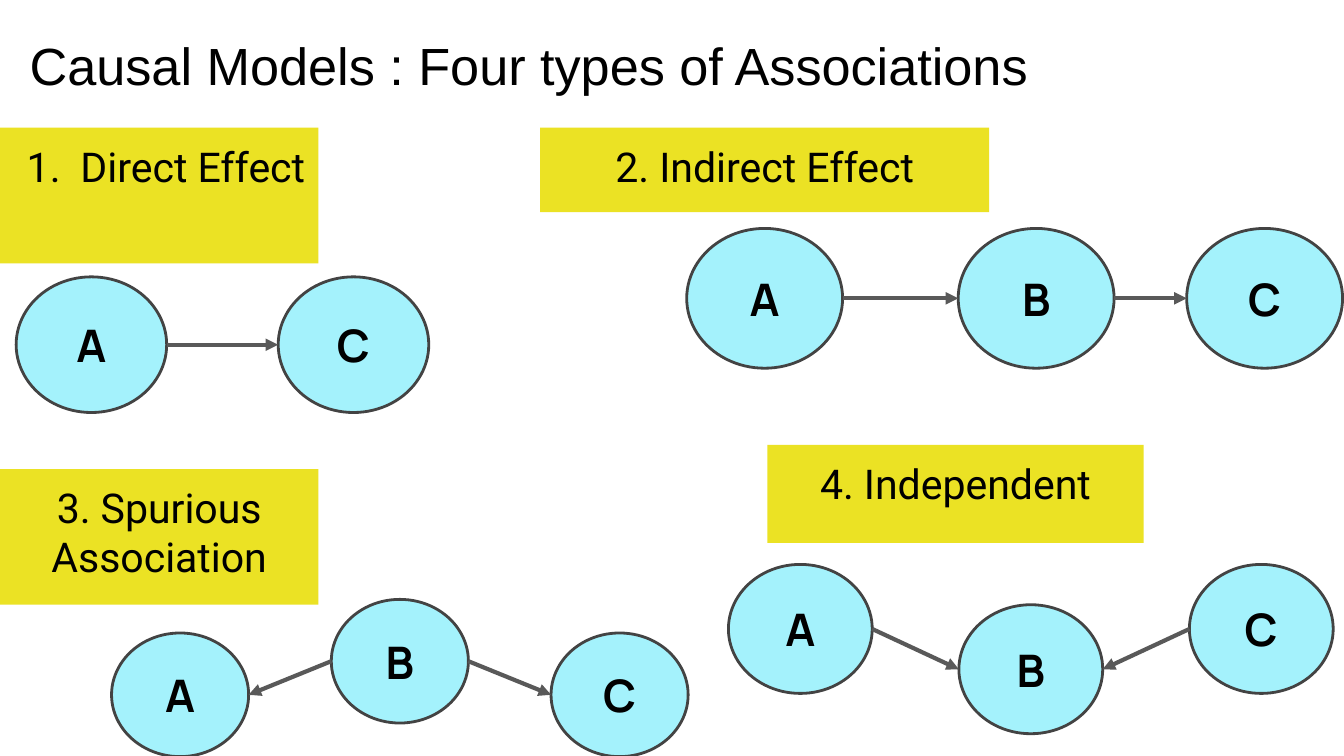
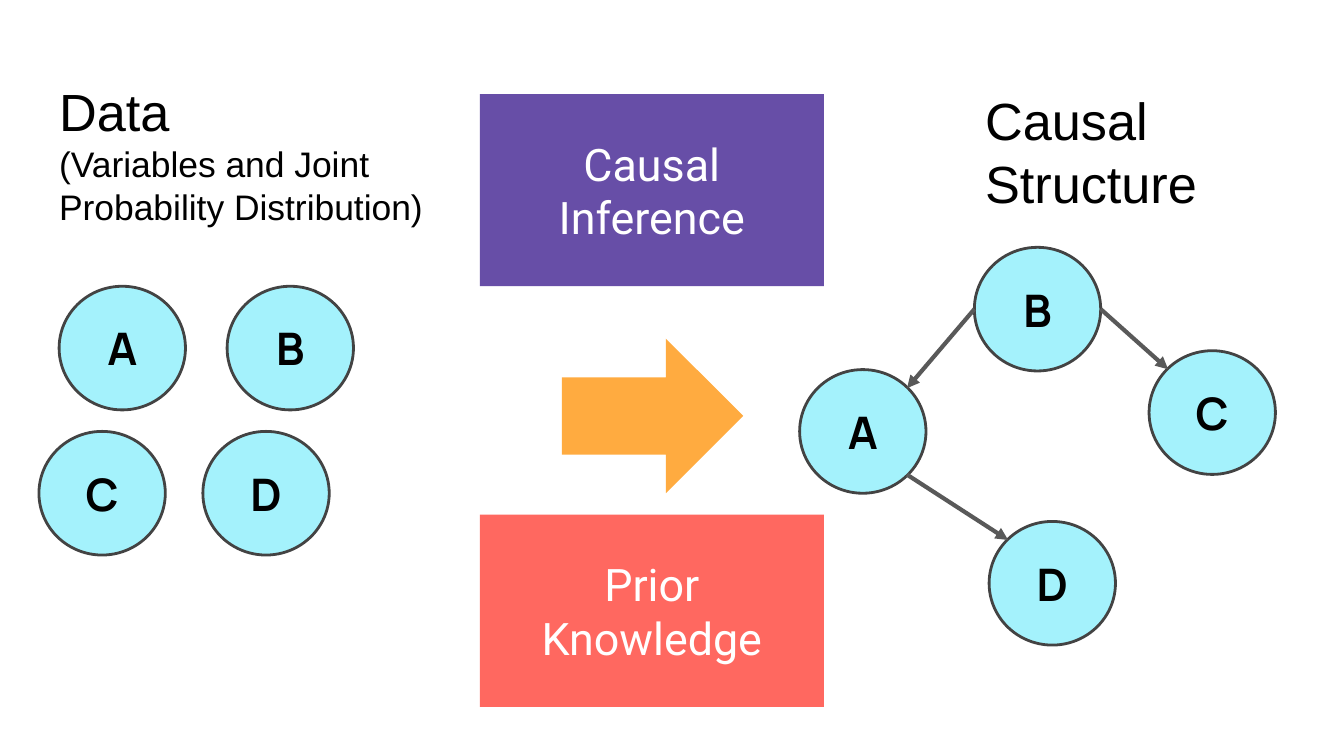
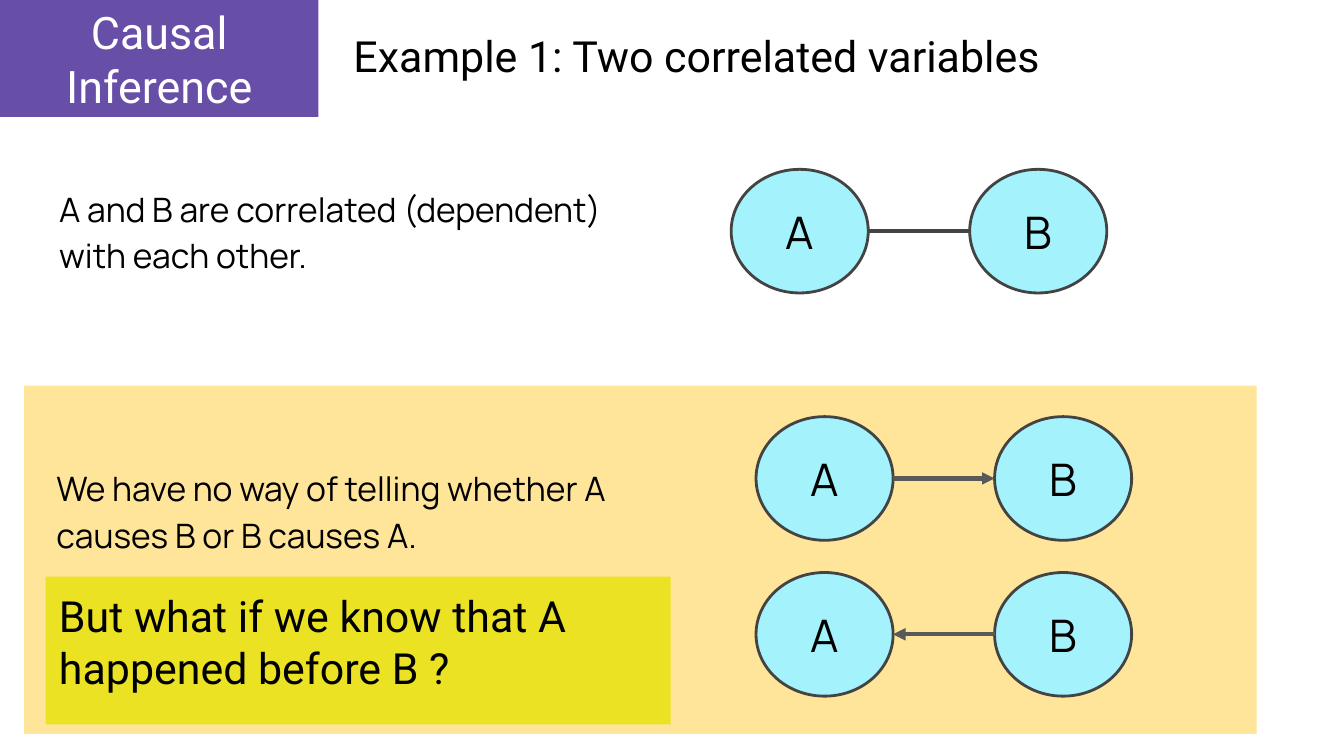
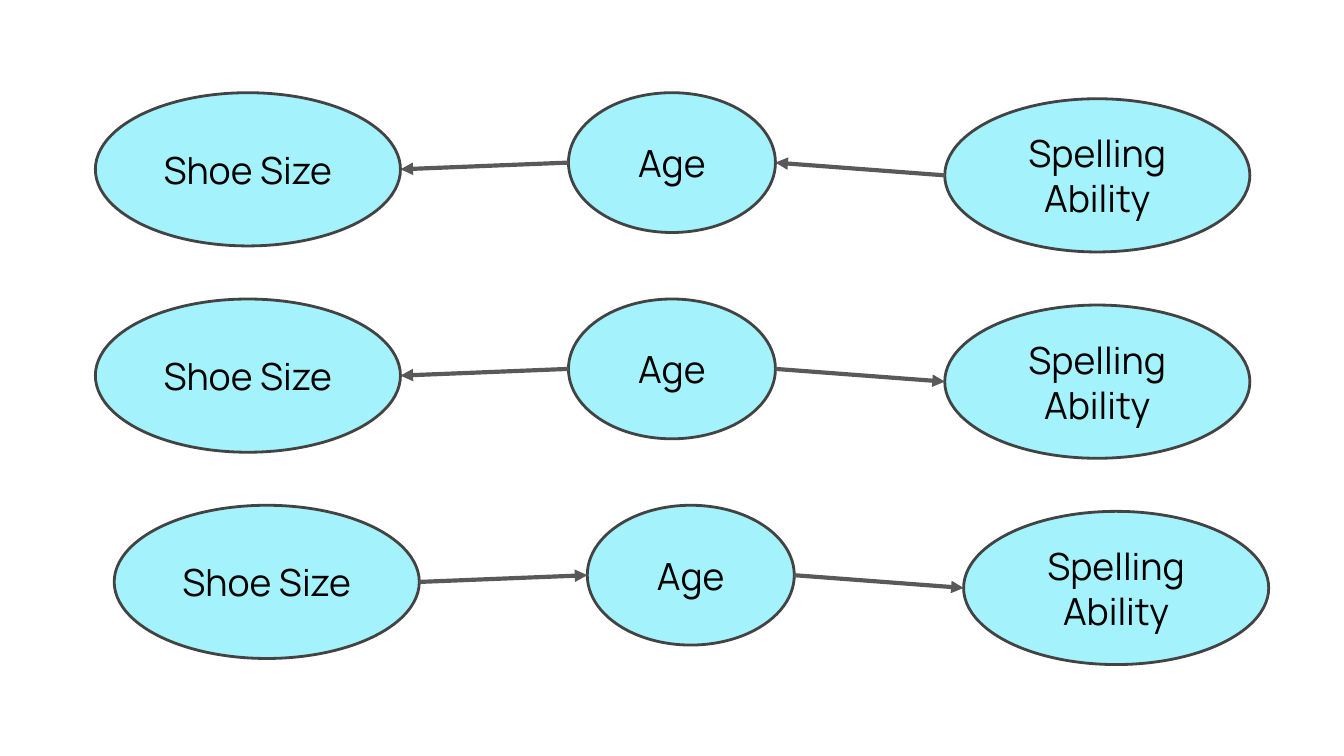
"""Build four slides on causal models and causal inference."""
from dataclasses import dataclass
from typing import NamedTuple, Optional, Sequence

from lxml import etree
from pptx import Presentation
from pptx.dml.color import RGBColor
from pptx.enum.shapes import MSO_CONNECTOR, MSO_SHAPE
from pptx.enum.text import MSO_ANCHOR, MSO_AUTO_SIZE, PP_ALIGN
from pptx.oxml.ns import qn
from pptx.util import Emu, Inches, Pt

LEFT_ALIGN, CENTER = PP_ALIGN.LEFT, PP_ALIGN.CENTER
TOP, MIDDLE = MSO_ANCHOR.TOP, MSO_ANCHOR.MIDDLE
FIXED = MSO_AUTO_SIZE.NONE
RECTANGLE, OVAL, ARROW = MSO_SHAPE.RECTANGLE, MSO_SHAPE.OVAL, MSO_SHAPE.RIGHT_ARROW
STRAIGHT = MSO_CONNECTOR.STRAIGHT

BLACK = RGBColor(0x00, 0x00, 0x00)
WHITE = RGBColor(0xFF, 0xFF, 0xFF)
YELLOW = RGBColor(0xEB, 0xE2, 0x24)
CYAN = RGBColor(0xA4, 0xF2, 0xFC)
OUTLINE = RGBColor(0x43, 0x43, 0x43)
LINK_GRAY = RGBColor(0x59, 0x59, 0x59)
PURPLE = RGBColor(0x67, 0x4E, 0xA7)
CORAL = RGBColor(0xFF, 0x68, 0x60)
ORANGE = RGBColor(0xFF, 0xAB, 0x40)
SAND = RGBColor(0xFF, 0xE5, 0x99)

ARIAL, ROBOTO, MANROPE = "Arial", "Roboto", "Manrope"
CELL = Inches(0.1)
COLUMNS, ROWS = 100, 56.25
INSET = Inches(0.1)
TITLE_CONTENT, TWO_CONTENT, TITLE_ONLY, BLANK = 1, 3, 5, 6


class Box(NamedTuple):
    """A rectangle in grid cells."""

    left: float
    top: float
    width: float
    height: float

    def lengths(self) -> list[Emu]:
        """Return the four values as slide lengths."""
        return [Emu(round(value * CELL)) for value in self]


class Side(NamedTuple):
    """A point on an oval, as shares of its width and height."""

    across: float
    down: float


LEFT, RIGHT = Side(0, 0.5), Side(1, 0.5)
UPPER_LEFT, UPPER_RIGHT = Side(0.15, 0.15), Side(0.85, 0.15)
LOWER_RIGHT = Side(0.85, 0.85)


@dataclass(frozen=True)
class Span:
    """One paragraph of text in a single style."""

    text: str
    size: float
    font: str = ROBOTO
    color: RGBColor = BLACK
    bold: bool = False


@dataclass(frozen=True)
class Link:
    """A line from one node to another."""

    start: str
    end: str
    leave: Side = RIGHT
    enter: Side = LEFT
    color: RGBColor = LINK_GRAY
    arrow: bool = True


@dataclass(frozen=True)
class Graph:
    """Labelled ovals joined by links."""

    nodes: dict[str, Box]
    links: Sequence[Link] = ()
    size: float = 24
    bold: bool = True


def backward(start: str, end: str) -> Link:
    """Return a link that points from right to left."""
    return Link(start, end, LEFT, RIGHT)


def equal_nodes(width: float, height: float, **corners: tuple[float, float]) -> dict[str, Box]:
    """Return nodes of one size at the given corners."""
    return {name: Box(*corner, width, height) for name, corner in corners.items()}


def set_marker(para, numbered: bool) -> None:
    """Number a paragraph, or clear its inherited bullet and indent."""
    properties = para._p.get_or_add_pPr()
    properties.set("marL", str(Inches(0.5) if numbered else 0))
    properties.set("indent", str(Inches(-0.4) if numbered else 0))
    if numbered:
        color = etree.SubElement(properties, qn("a:buClr"))
        etree.SubElement(color, qn("a:srgbClr"), val=str(BLACK))
        etree.SubElement(properties, qn("a:buAutoNum"), type="arabicPeriod")
    else:
        etree.SubElement(properties, qn("a:buNone"))


def write(shape, spans: Sequence[Span], align=LEFT_ALIGN, anchor=TOP,
          spacing: float = 1.0, numbered: bool = False) -> None:
    """Fill a shape with one paragraph for each span."""
    frame = shape.text_frame
    frame.word_wrap = True
    frame.auto_size = FIXED
    frame.vertical_anchor = anchor
    frame.margin_left = frame.margin_right = INSET
    frame.margin_top = frame.margin_bottom = INSET
    for index, span in enumerate(spans):
        para = frame.add_paragraph() if index else frame.paragraphs[0]
        set_marker(para, numbered)
        para.alignment = align
        para.line_spacing = spacing
        para.space_before = Pt(0)
        run = para.add_run()
        run.text = span.text
        run.font.size = Pt(span.size)
        run.font.name = span.font
        run.font.bold = span.bold
        run.font.color.rgb = span.color


def fill_placeholder(holder, box: Box, spans: Sequence[Span], spacing: float = 1.0) -> None:
    """Move a placeholder to a box and write in it."""
    holder.left, holder.top, holder.width, holder.height = box.lengths()
    write(holder, spans, spacing=spacing)


def add_block(page, kind, box: Box, fill: RGBColor, outline: Optional[RGBColor] = None):
    """Add a filled shape, with or without an outline."""
    shape = page.shapes.add_shape(kind, *box.lengths())
    shape.shadow.inherit = False
    shape.fill.solid()
    shape.fill.fore_color.rgb = fill
    if outline is None:
        shape.line.fill.background()
    else:
        shape.line.color.rgb = outline
        shape.line.width = Pt(1.5)
    return shape


def add_label(page, box: Box, text: str, numbered: bool = False) -> None:
    """Add a yellow heading box."""
    write(add_block(page, RECTANGLE, box, YELLOW), [Span(text, 22)], CENTER, numbered=numbered)


def add_banner(page, box: Box, fill: RGBColor, *lines: str) -> None:
    """Add a coloured box with white centred text."""
    spans = [Span(line, 24, color=WHITE) for line in lines]
    write(add_block(page, RECTANGLE, box, fill), spans, CENTER, MIDDLE)


def point_on(box: Box, side: Side) -> list[Emu]:
    """Return the slide position of a side of a box."""
    across = box.left + box.width * side.across
    down = box.top + box.height * side.down
    return [Emu(round(across * CELL)), Emu(round(down * CELL))]


def add_link(page, nodes: dict[str, Box], link: Link) -> None:
    """Draw a link between two nodes."""
    line = page.shapes.add_connector(
        STRAIGHT, *point_on(nodes[link.start], link.leave), *point_on(nodes[link.end], link.enter))
    line.line.color.rgb = link.color
    line.line.width = Pt(2.25)
    if link.arrow:
        etree.SubElement(line.line._get_or_add_ln(), qn("a:tailEnd"), type="triangle")
    etree.SubElement(line.element.spPr, qn("a:effectLst"))


def add_graph(page, graph: Graph) -> None:
    """Draw the nodes of a graph and then its links."""
    for name, box in graph.nodes.items():
        spans = [Span(line, graph.size, MANROPE, bold=graph.bold) for line in name.split("\n")]
        write(add_block(page, OVAL, box, CYAN, OUTLINE), spans, CENTER, MIDDLE)
    for link in graph.links:
        add_link(page, graph.nodes, link)


def add_page(deck, layout: int):
    """Add a slide with the given layout."""
    return deck.slides.add_slide(deck.slide_layouts[layout])


def build_associations(deck) -> None:
    """Build the slide of four association types."""
    page = add_page(deck, TITLE_ONLY)
    fill_placeholder(page.shapes.title, Box(1.2, 1.5, 93.2, 6.3),
                     [Span("Causal Models : Four types of Associations", 28, ARIAL)])
    add_label(page, Box(0, 9.5, 23.7, 10.1), "Direct Effect", numbered=True)
    add_label(page, Box(40.2, 9.5, 33.4, 6.3), "2. Indirect Effect")
    add_label(page, Box(0, 34.9, 23.7, 10.1), "3. Spurious Association")
    add_label(page, Box(57.1, 33.1, 28, 7.3), "4. Independent")
    direct = equal_nodes(11.2, 10.1, A=(1.2, 20.6), C=(20.7, 20.6))
    indirect = equal_nodes(11.6, 10.4, A=(51.1, 17), B=(71.3, 17), C=(88.3, 17))
    spurious = equal_nodes(10.2, 9.2, A=(8.3, 47.1), B=(24.65, 44.6), C=(41, 47.1))
    independent = equal_nodes(10.7, 9.6, A=(54.2, 42), B=(71.35, 45), C=(88.5, 42))
    for graph in (
        Graph(direct, [Link("A", "C")]),
        Graph(indirect, [Link("A", "B"), Link("B", "C")]),
        Graph(spurious, [backward("B", "A"), Link("B", "C")]),
        Graph(independent, [Link("A", "B"), backward("C", "B")]),
    ):
        add_graph(page, graph)


def build_inference(deck) -> None:
    """Build the slide that leads from data to causal structure."""
    page = add_page(deck, TITLE_CONTENT)
    fill_placeholder(page.shapes.title, Box(3.4, 4.9, 32.7, 15.3), [
        Span("Data", 28, ARIAL),
        Span("(Variables and Joint Probability Distribution)", 19, ARIAL),
    ])
    fill_placeholder(page.placeholders[1], Box(72.3, 5.6, 22.1, 7.2),
                     [Span("Causal Structure", 28, ARIAL)])
    data = equal_nodes(9.4, 9.2, A=(4.4, 21.3), B=(16.9, 21.3), C=(2.9, 32.1), D=(15.1, 32.1))
    structure = equal_nodes(
        9.4, 9.2, A=(59.5, 27.5), B=(72.5, 18.4), C=(85.5, 26.1), D=(73.6, 38.8))
    add_graph(page, Graph(data))
    add_graph(page, Graph(structure, [
        Link("B", "A", LEFT, UPPER_RIGHT),
        Link("B", "C", RIGHT, UPPER_LEFT),
        Link("A", "D", LOWER_RIGHT, UPPER_LEFT),
    ]))
    add_block(page, ARROW, Box(41.8, 25.2, 13.5, 11.5), ORANGE)
    add_banner(page, Box(35.7, 7, 25.6, 14.3), PURPLE, "Causal", "Inference")
    add_banner(page, Box(35.7, 38.3, 25.6, 14.3), CORAL, "Prior", "Knowledge")


def build_example(deck) -> None:
    """Build the example with two correlated variables."""
    page = add_page(deck, TWO_CONTENT)
    title = page.shapes.title
    panel = add_block(page, RECTANGLE, Box(1.8, 28.7, 91.7, 25.9), SAND)
    title.element.addprevious(panel.element)
    fill_placeholder(title, Box(25.3, 1.2, 66.9, 6.3),
                     [Span("Example 1: Two correlated variables", 23)])
    fill_placeholder(page.placeholders[1], Box(3.4, 12.6, 44.3, 8.7), [
        Span("A and B are correlated (dependent) with each other.", 18, MANROPE)], 1.15)
    fill_placeholder(page.placeholders[2], Box(3.2, 33.4, 45.5, 16.2), [
        Span("We have no way of telling whether A causes B or B causes A.", 18, MANROPE)], 1.15)
    for left, top, link in (
        (54.4, 12.6, Link("A", "B", color=OUTLINE, arrow=False)),
        (56.25, 31, Link("A", "B")),
        (56.25, 42.6, backward("B", "A")),
    ):
        pair = equal_nodes(10.2, 9.2, A=(left, top), B=(left + 17.75, top))
        add_graph(page, Graph(pair, [link], bold=False))
    add_banner(page, Box(0, 0, 23.7, 8.7), PURPLE, "Causal Inference")
    question = add_block(page, RECTANGLE, Box(3.4, 42.9, 46.5, 11), YELLOW)
    write(question, [Span("But what if we know that A happened before B ?", 23)])


def build_chains(deck) -> None:
    """Build the three chains through age."""
    page = add_page(deck, BLANK)
    shoe, age, spelling = "Shoe Size", "Age", "Spelling\nAbility"
    chains = (
        (7.1, backward(age, shoe), backward(spelling, age)),
        (7.1, backward(age, shoe), Link(age, spelling)),
        (8.5, Link(shoe, age), Link(age, spelling)),
    )
    for index, (left, *links) in enumerate(chains):
        top = 6.9 + 15.35 * index
        nodes = {
            shoe: Box(left, top, 22.7, 11.4),
            age: Box(left + 35.2, top, 15.4, 10.4),
            spelling: Box(left + 63.2, top + 0.45, 22.7, 11.4),
        }
        add_graph(page, Graph(nodes, links, 20, False))


def main() -> None:
    """Build and save the deck."""
    deck = Presentation()
    deck.slide_width = Emu(round(COLUMNS * CELL))
    deck.slide_height = Emu(round(ROWS * CELL))
    for build in (build_associations, build_inference, build_example, build_chains):
        build(deck)
    deck.save("out.pptx")


if __name__ == "__main__":
    main()
